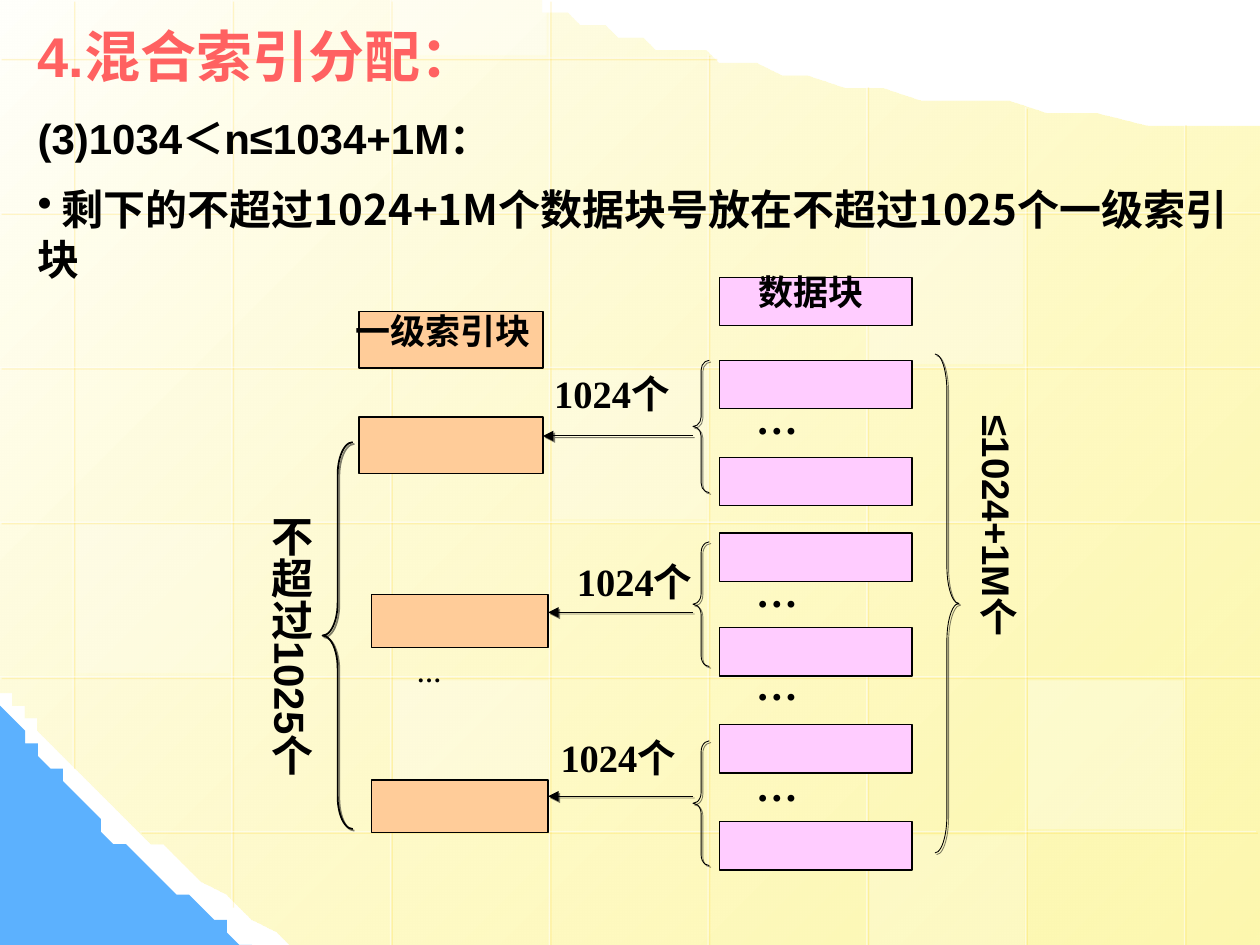
from lxml.etree import SubElement
from pptx import Presentation
from pptx.dml.color import RGBColor
from pptx.enum.shapes import MSO_CONNECTOR, MSO_SHAPE
from pptx.enum.text import MSO_ANCHOR, PP_ALIGN
from pptx.oxml.ns import qn
from pptx.util import Inches, Pt

COLS = 100
WIDE, HIGH = Inches(10), Inches(7.5)
CELL = WIDE // COLS
SERIF, SANS, HAN = "Times New Roman", "Arial", "Noto Sans CJK SC"
BLACK, WHITE, PEACH, PINK = "000000", "FFFFFF", "FFCC99", "FFCCFF"


def grid(*cells):
    return [round(c * CELL) for c in cells]


def color(code):
    return RGBColor.from_string(code)


def fade(node, share):
    for tint in node.iter(qn("a:srgbClr")):
        SubElement(tint, qn("a:alpha"), val=str(share * 1000))


def shade(shape, code, share):
    frame = shape.element.spPr
    for old in frame.findall(qn("a:effectLst")):
        frame.remove(old)
    list_ = SubElement(frame, qn("a:effectLst"))
    cast = SubElement(list_, qn("a:outerShdw"), dist="17780", dir="2700000", algn="ctr", rotWithShape="0")
    SubElement(cast, qn("a:srgbClr"), val=code)
    fade(cast, share)


def paint(shape, fill, line=None, width=0.75):
    shape.shadow.inherit = False
    if fill:
        shape.fill.solid()
        shape.fill.fore_color.rgb = color(fill)
    else:
        shape.fill.background()
    if line:
        shape.line.color.rgb = color(line)
        shape.line.width = Pt(width)
    else:
        shape.line.fill.background()


def box(slide, place, fill, line=BLACK):
    shape = slide.shapes.add_shape(MSO_SHAPE.RECTANGLE, *grid(*place))
    paint(shape, fill, line)
    return shape


def brace(slide, place, bend, kind=MSO_SHAPE.LEFT_BRACE, width=0.5):
    shape = slide.shapes.add_shape(kind, *grid(*place))
    shape.adjustments[0] = bend
    paint(shape, None, BLACK, width)
    shade(shape, BLACK, 50)


def rule(slide, ends, code, width):
    line = slide.shapes.add_connector(MSO_CONNECTOR.STRAIGHT, *grid(*ends))
    line.line.color.rgb = color(code)
    line.line.width = Pt(width)
    return line


def arrow(slide, start, end, row):
    line = rule(slide, (start, row, end, row), BLACK, 0.5)
    SubElement(line.line._get_or_add_ln(), qn("a:tailEnd"), type="triangle")
    shade(line, BLACK, 50)


def style(para, size, face, code=BLACK):
    font = para.font
    font.size, font.name, font.bold = Pt(size), face, True
    font.color.rgb = color(code)


def label(slide, place, words, size, face=SERIF, tall=False):
    frame = slide.shapes.add_textbox(*grid(*place)).text_frame
    frame.word_wrap = True
    if tall:
        frame._txBody.bodyPr.set("vert", "eaVert")
    para = frame.paragraphs[0]
    para.text = words
    style(para, size, face)
    return frame


def curve(*knots, steps=30):
    for i in range(steps + 1):
        t = i / steps
        parts = ((1 - t) ** 3, 3 * t * (1 - t) ** 2, 3 * t * t * (1 - t), t ** 3)
        yield tuple(sum(p * k[a] for p, k in zip(parts, knots)) for a in (0, 1))


def sweep(slide, points):
    first, *rest = points
    path = slide.shapes.build_freeform(*first, scale=CELL)
    path.add_line_segments(rest)
    return path.convert_to_shape()


def backdrop(slide):
    field = sweep(slide, [
        (100, 75),
        *curve((23, 75), (8.6, 66.1), (-0.1, 53.9), (0, 53.9)),
        (-0.1, -0.1),
        *curve((42.1, 0.1), (42.1, 0.1), (53.7, 6.9), (100, 10.4)),
    ])
    paint(field, WHITE)
    field.fill.gradient()
    field.fill.gradient_angle = 315
    stops = field.fill.gradient_stops
    for stop, code, spot in zip(stops, ("FFFFFB", "FDF58D"), (0, 1)):
        stop.color.rgb = color(code)
        stop.position = spot
    fade(field.element.spPr.findall(".//" + qn("a:gs"))[-1], 70)
    hill = sweep(slide, [
        (0.1, 75),
        *curve((0.1, 55.9), (0.1, 55.9), (11.2, 70.9), (20.3, 75)),
    ])
    paint(hill, "5CB1FE")

    spans = ((0, 60.9), (0, 71.9), (0, 75), (0, 75), (4.3, 75), (6.8, 75), (8.5, 75), (9.8, 75))
    ends = [(5.8 + 12.6 * i, top, 5.8 + 12.6 * i, low) for i, (top, low) in enumerate(spans)]
    reach = ((56.8, 0), (100, 0), (100, 0), (100, 0), (100, 0), (99.7, 11.1))
    ends += [(right, 4.6 + 12.28 * i, left, 4.6 + 12.28 * i) for i, (right, left) in enumerate(reach)]
    for end in ends:
        line = rule(slide, end, WHITE, 0.75)
        fade(line.line._get_or_add_ln(), 50)
        shade(line, "FFCC00", 34)

    tiles = ((43.8, 29.4, 11.8, 25), (81.6, 54, 11.8, 30), (6, 41.6, 11.8, 20), (69, 66.3, 8.7, 20),
             (31.1, 0, 4.4, 40), (31.2, 54, 11.8, 30), (68.9, 17.1, 11.8, 30))
    for left, top, high, share in tiles:
        tile = box(slide, (left, top, 12.3, high), WHITE, None)
        fade(tile.element.spPr, share)


def heading(slide):
    title = slide.shapes.title
    title.element.getparent().append(title.element)
    title.left, title.top, title.width, title.height = grid(2, 1.2, 90, 6.4)
    frame = title.text_frame
    frame.text = "4.混合索引分配："
    frame.vertical_anchor = MSO_ANCHOR.MIDDLE
    para = frame.paragraphs[0]
    para.alignment = PP_ALIGN.LEFT
    style(para, 32, SANS, "FF6161")

    body = label(slide, (2, 8.4, 98, 11), "(3)1034＜n≤1034+1M：", 24, SANS)
    para = body.add_paragraph()
    para.text = " 剩下的不超过1024+1M个数据块号放在不超过1025个一级索引块"
    para.space_before = Pt(12)
    SubElement(para._p.get_or_add_pPr(), qn("a:buChar"), char="•")
    style(para, 24, HAN)


def index(slide):
    box(slide, (28.5, 24.7, 14.6, 4.5), PEACH)
    label(slide, (27.2, 24.1, 17.2, 4.4), "一级索引块", 20)
    rows = (
        ((28.5, 33.1, 14.6, 4.5), (43, 28.9, 11.9, 4.7), 34.6, (28.6, 10.5, 0.59)),
        ((29.5, 47.2, 14, 4.2), (44.8, 43.8, 11.5, 4.7), 48.6, (43, 9.9, 0.65)),
        ((29.5, 61.9, 14, 4.2), (43.5, 57.8, 11.5, 4.7), 63.2, (58.8, 9.9, 0.65)),
    )
    for place, note, row, (top, high, bend) in rows:
        box(slide, place, PEACH)
        arrow(slide, 55, place[0] + place[2], row)
        brace(slide, (55, top, 1.3, high), bend)
        label(slide, note, "1024个", 22)
    label(slide, (32.1, 51.7, 8.9, 3.3), "…", 14)
    brace(slide, (25.6, 35.1, 2.4, 30.7), 1.08, width=1)
    label(slide, (19.6, 39.9, 6, 30.7), "不超过1025个", 24, SANS, True)


def data(slide):
    for top in (22, 28.6, 36.3, 42.3, 49.8, 57.5, 65.2):
        box(slide, (57.1, top, 15.3, 3.85), PINK)
    label(slide, (59.2, 21, 17.2, 4.3), "数据块", 20)
    for top in (30.7, 44.4, 51.8, 59.8):
        label(slide, (59, top, 13.4, 5), "…", 24)
    brace(slide, (74.2, 28.1, 1.9, 39.6), 1.56, MSO_SHAPE.RIGHT_BRACE)
    label(slide, (75.8, 32, 5.7, 28.9), "≤1024+1M个", 22, SANS, True)


def main():
    deck = Presentation()
    deck.slide_width, deck.slide_height = WIDE, HIGH
    slide = deck.slides.add_slide(deck.slide_layouts[5])
    backdrop(slide)
    heading(slide)
    index(slide)
    data(slide)
    deck.save("out.pptx")


if __name__ == "__main__":
    main()
